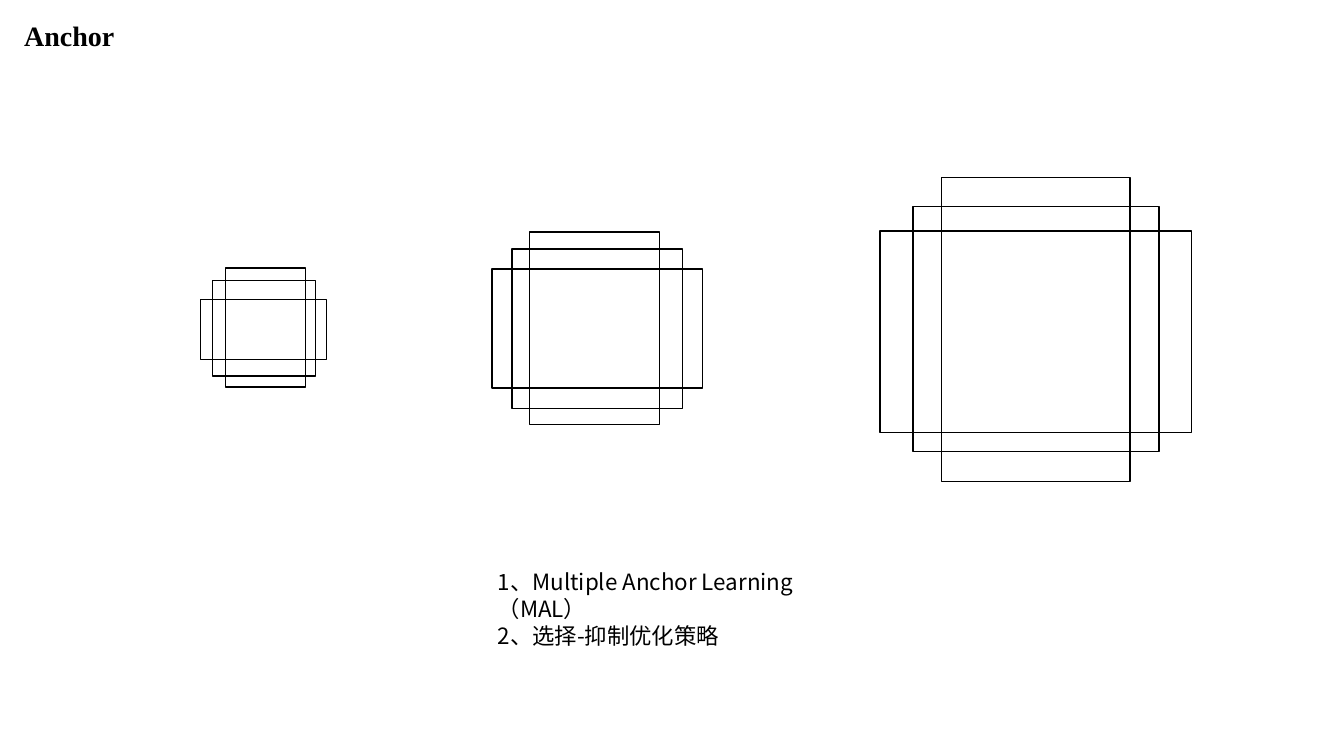
from lxml import etree
from pptx import Presentation
from pptx.dml.color import RGBColor
from pptx.enum.shapes import MSO_SHAPE
from pptx.enum.text import MSO_ANCHOR, MSO_AUTO_SIZE, PP_ALIGN
from pptx.oxml.ns import qn
from pptx.util import Pt

RECTANGLE = MSO_SHAPE.RECTANGLE
TOP = MSO_ANCHOR.TOP
LEFT = PP_ALIGN.LEFT
GROW = MSO_AUTO_SIZE.SHAPE_TO_FIT_TEXT
TITLE_ONLY = 5

COLORS = {"ink": "000000"}
TITLE_FONT = "Times New Roman"
BODY_FONT = "Noto Sans CJK SC"

# Left, top, width and height of the anchors at each scale
ANCHOR_SETS = [
    [(151.9, 200.2, 73.4, 68.4), (143.3, 213.8, 90, 43.2), (161.3, 191.5, 56.9, 85)],
    [(351.4, 192.2, 150.5, 85), (378, 165.6, 92.9, 137.5), (365.8, 177.8, 121.7, 113.8)],
    [(628.6, 164.9, 222.5, 144), (652.3, 147.6, 175.7, 175), (672.5, 126.7, 134.6, 217.4)],
]
NOTES = ["1、Multiple Anchor Learning（MAL）", "2、选择-抑制优化策略"]


def color(name):
    return RGBColor.from_string(COLORS[name])


def add_anchor_set(page, anchors):
    """Group the overlapping anchor outlines of one scale."""
    group = page.shapes.add_group_shape()
    for anchor in anchors:
        box = group.shapes.add_shape(RECTANGLE, *map(Pt, anchor))
        box.shadow.inherit = False
        box.fill.background()
        box.line.color.rgb = color("ink")
        box.line.width = Pt(1)


def fill_text(box, lines, font, size, bold=False):
    frame = box.text_frame
    frame.text = "\n".join(lines)
    frame.word_wrap = True
    frame.auto_size = GROW
    frame.vertical_anchor = TOP
    for para in frame.paragraphs:
        para.alignment = LEFT
        for span in para.runs:
            span.font.name = font
            span.font.size = Pt(size)
            span.font.bold = bold
            span.font.color.rgb = color("ink")
            east_asian = etree.Element(qn("a:ea"), typeface=font)
            span.font._element.find(qn("a:latin")).addnext(east_asian)


def set_title(page, text):
    title = page.shapes.title
    title.left, title.top, title.width, title.height = map(Pt, (10, 9.4, 79.2, 31.7))
    fill_text(title, [text], TITLE_FONT, 20, bold=True)


def add_notes(page, lines):
    box = page.shapes.add_textbox(Pt(348.5), Pt(402.5), Pt(262.8), Pt(46))
    fill_text(box, lines, BODY_FONT, 16)


def main():
    deck = Presentation()
    deck.slide_width, deck.slide_height = Pt(960), Pt(540)
    page = deck.slides.add_slide(deck.slide_layouts[TITLE_ONLY])
    for anchors in ANCHOR_SETS:
        add_anchor_set(page, anchors)
    set_title(page, "Anchor")
    add_notes(page, NOTES)
    deck.save("out.pptx")


if __name__ == "__main__":
    main()
